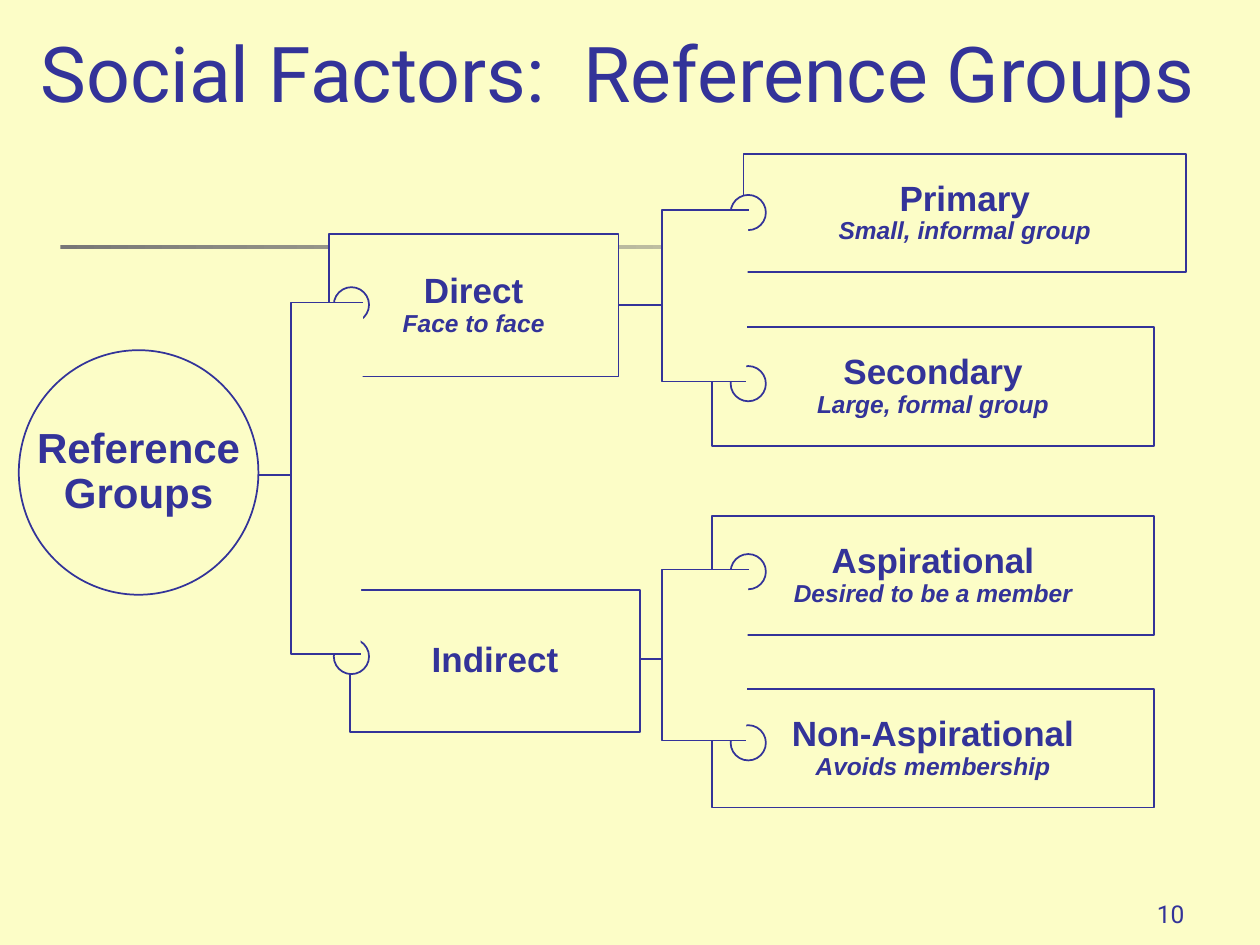
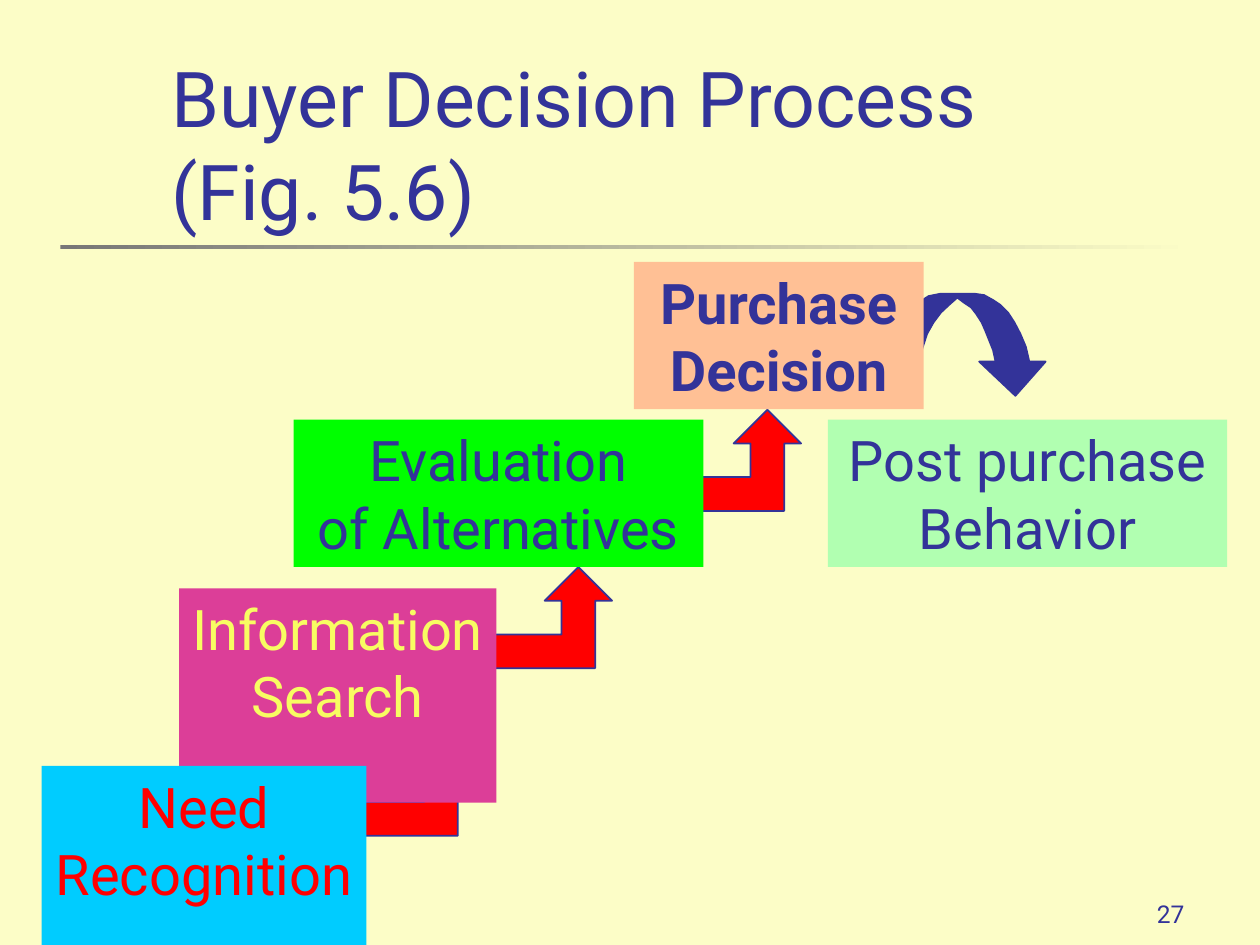
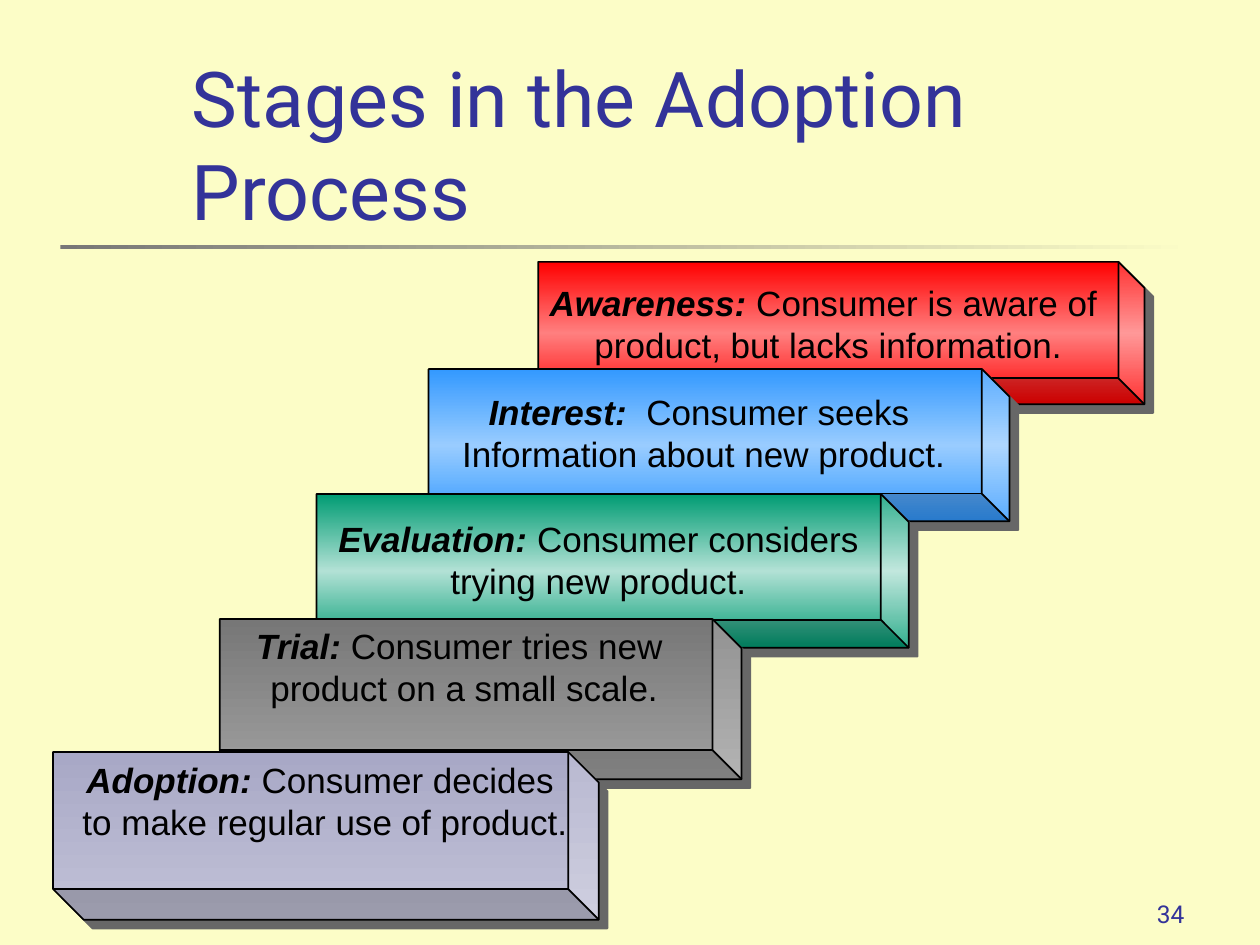
from dataclasses import dataclass

from lxml.etree import SubElement
from pptx import Presentation
from pptx.dml.color import RGBColor
from pptx.enum.shapes import MSO_CONNECTOR, MSO_SHAPE
from pptx.enum.text import MSO_ANCHOR, MSO_AUTO_SIZE, PP_ALIGN
from pptx.oxml import parse_xml
from pptx.oxml.ns import nsdecls, qn
from pptx.util import Cm, Pt


@dataclass(frozen=True)
class Theme:
    paper: str = "FCFDC7"
    ink: str = "333399"
    black: str = "000000"
    rule: str = "777777"
    shadow: str = "676767"
    arrow: str = "FF0000"
    heading_font: str = "Roboto"
    label_font: str = "Arial"
    title_size: int = 44
    step_size: int = 32
    root_size: int = 24
    label_size: int = 20
    small_size: int = 14
    line_width: int = 1


THEME = Theme()
BOLD = {"bold": True}
BOLD_ITALIC = {"bold": True, "italic": True}


# ---------- Shared helpers ----------

def cm_box(box):
    return [Cm(length) for length in box]


def set_formats(target, formats):
    for name, value in formats.items():
        setattr(target, name, value)


def write(frame, lines, size, font, color=THEME.ink, wrap=True,
          anchor=MSO_ANCHOR.TOP, **para_formats):
    """Each line is a list of (text, font formats) spans."""
    set_formats(frame, {"word_wrap": wrap, "vertical_anchor": anchor,
                        "auto_size": MSO_AUTO_SIZE.NONE})
    for index, line in enumerate(lines):
        para = frame.paragraphs[0] if index == 0 else frame.add_paragraph()
        set_formats(para, {"alignment": PP_ALIGN.CENTER, **para_formats})
        for text, formats in line:
            span = para.add_run()
            span.text = text
            set_formats(span.font, {"size": Pt(size), "name": font, **formats})
            span.font.color.rgb = RGBColor.from_string(color)


def paint(shape, fill, line=None):
    shape.shadow.inherit = False
    shape.fill.solid()
    shape.fill.fore_color.rgb = RGBColor.from_string(fill)
    if line is None:
        shape.line.fill.background()
    else:
        shape.line.width = Pt(THEME.line_width)
        shape.line.color.rgb = RGBColor.from_string(line)


def paint_gradient(shape, colors, angle):
    last = len(colors) - 1
    stops = "".join(
        f'<a:gs pos="{100000 * index // last}"><a:srgbClr val="{color}"/></a:gs>'
        for index, color in enumerate(colors))
    gradient = parse_xml(
        f'<a:gradFill {nsdecls("a")} rotWithShape="0"><a:gsLst>{stops}</a:gsLst>'
        f'<a:lin ang="{angle * 60000}" scaled="0"/></a:gradFill>')
    properties = shape.element.spPr
    properties.replace(properties.find(qn("a:solidFill")), gradient)


def add_box(page, kind, box, fill=THEME.paper, line=None):
    shape = page.shapes.add_shape(kind, *cm_box(box))
    paint(shape, fill, line)
    return shape


def add_outline(page, left, top, points, fill, close=True):
    corners = [(Cm(left + x), Cm(top + y)) for x, y in points]
    builder = page.shapes.build_freeform(*corners[0])
    builder.add_line_segments(corners[1:], close=close)
    shape = builder.convert_to_shape()
    paint(shape, fill, THEME.ink)
    return shape


def add_page(deck, title_lines, title_box, number, anchor=MSO_ANCHOR.BOTTOM):
    page = deck.slides.add_slide(deck.slide_layouts[5])
    # Title
    title = page.shapes.title
    set_formats(title, dict(zip(("left", "top", "width", "height"), cm_box(title_box))))
    write(title.text_frame, [[(title_lines[0], {})]], THEME.title_size,
          THEME.heading_font, anchor=anchor, alignment=PP_ALIGN.LEFT)
    para = title.text_frame.paragraphs[0]
    for line in title_lines[1:]:
        para.add_line_break()
        span = para.add_run()
        span.text = line
        set_formats(span.font, {"size": Pt(THEME.title_size), "name": THEME.heading_font})
        span.font.color.rgb = RGBColor.from_string(THEME.ink)
    # Fading rule below the title
    rule = add_box(page, MSO_SHAPE.RECTANGLE, (1.22, 4.94, 22.86, 0.09))
    paint_gradient(rule, (THEME.rule, THEME.paper), 0)
    # Page number
    corner = page.shapes.add_textbox(*cm_box((18.85, 17.58, 5.28, 1.27)))
    write(corner.text_frame, [[(number, {})]], THEME.small_size, THEME.heading_font,
          anchor=MSO_ANCHOR.BOTTOM, alignment=PP_ALIGN.RIGHT)
    return page


# ---------- Reference groups ----------

def add_group(page, kind, box, lines, size=THEME.label_size):
    shape = add_box(page, kind, box, line=THEME.ink)
    write(shape.text_frame, lines, size, THEME.label_font, wrap=False,
          anchor=MSO_ANCHOR.MIDDLE, line_spacing=0.9)


def add_stem(page, fork_box, height):
    left = fork_box[0]
    stem = page.shapes.add_connector(
        MSO_CONNECTOR.STRAIGHT, *cm_box((left + 0.02, height, left - 0.92, height)))
    stem.line.width = Pt(THEME.line_width)
    stem.line.color.rgb = RGBColor.from_string(THEME.ink)
    SubElement(stem.element.spPr, qn("a:effectLst"))


def add_fork(page, box, ring_offset):
    left, top, width, height = box
    for end in (top, top + height):
        add_box(page, MSO_SHAPE.OVAL, (left + ring_offset, end - 0.31, 0.71, 0.71),
                line=THEME.ink)
    bracket = [(width, 0), (0, 0), (0, height), (width - 0.05, height)]
    add_outline(page, left, top, bracket, THEME.paper, close=False)


def build_reference_groups(deck):
    page = add_page(deck, ["Social Factors:  Reference Groups"],
                    (0.69, 0.46, 24.08, 3.84), "10", MSO_ANCHOR.TOP)
    set_formats(page.shapes.title.text_frame, {
        "margin_left": Cm(0.13), "margin_right": Cm(0.13),
        "margin_top": Cm(0.05), "margin_bottom": Cm(0.05)})
    # Fork box, ring offset, stem height
    forks = [
        ((5.87, 6.10, 1.45, 7.09), 0.86, 9.58),
        ((13.34, 11.48, 1.75, 3.45), 1.39, 13.28),
        ((13.34, 4.24, 1.75, 3.45), 1.39, 6.15),
    ]
    leaf, branch = (8.92, 2.39), (5.84, 2.87)
    groups = [
        ("Non-Aspirational", "Avoids membership", (14.35, 13.89), leaf),
        ("Aspirational", "Desired to be a member", (14.35, 10.41), leaf),
        ("Secondary", "Large, formal group", (14.35, 6.60), leaf),
        ("Primary", "Small, informal group", (14.99, 3.10), leaf),
        ("Direct", "Face to face", (6.63, 4.72), branch),
        ("Indirect", None, (7.06, 11.89), branch),
    ]
    for box, _, height in forks:
        add_stem(page, box, height)
    for name, detail, place, size in groups:
        lines = [[(name, BOLD)]]
        if detail:
            lines.append([(detail, {**BOLD_ITALIC, "size": Pt(THEME.small_size)})])
        add_group(page, MSO_SHAPE.RECTANGLE, place + size, lines)
    add_group(page, MSO_SHAPE.OVAL, (0.38, 7.06, 4.83, 4.93),
              [[("Reference", BOLD)], [("Groups", BOLD)]], THEME.root_size)
    for box, ring_offset, _ in forks:
        add_fork(page, box, ring_offset)


# ---------- Buyer decision process ----------

def add_step(page, box, lines, fill, color=THEME.ink, formats=None):
    shape = add_box(page, MSO_SHAPE.RECTANGLE, box, fill)
    write(shape.text_frame, [[(line, formats or {})] for line in lines],
          THEME.step_size, THEME.heading_font, color)


def add_step_arrow(page, left, top, unit=0.68):
    corners = [(2.5, 0), (1.5, 1), (2, 1), (2, 2), (0, 2), (0, 3), (3, 3), (3, 1), (3.5, 1)]
    add_outline(page, left, top, [(x * unit, y * unit) for x, y in corners], THEME.arrow)


def add_curved_arrow(page, left, top):
    outer_arc = [
        (0, 2.06), (0.05, 1.65), (0.1, 1.24), (0.2, 0.91), (0.36, 0.61), (0.53, 0.36),
        (0.74, 0.18), (0.94, 0.05), (1.19, 0), (1.85, 0), (2.06, 0.03), (2.24, 0.13),
        (2.39, 0.23), (2.54, 0.38), (2.67, 0.58), (2.79, 0.81), (2.9, 1.07), (2.97, 1.37)]
    head = [(3.3, 1.37), (2.69, 2.06), (1.96, 1.37)]
    inner_arc = [
        (2.29, 1.37), (2.24, 1.14), (2.16, 0.94), (2.08, 0.74), (2.01, 0.58), (1.9, 0.41),
        (1.8, 0.28), (1.65, 0.18), (1.52, 0.08), (1.35, 0.23), (1.19, 0.38), (1.04, 0.58),
        (0.91, 0.81), (0.81, 1.12), (0.74, 1.4), (0.69, 1.73), (0.69, 2.06)]
    add_outline(page, left, top, outer_arc + head + inner_arc, THEME.ink)


def build_decision_process(deck):
    page = add_page(deck, ["Buyer Decision Process ", "(Fig. 5.6)"],
                    (3.2, 1.7, 21.64, 3.18), "27")
    # Arrows lie below the steps
    for left, top in ((7.19, 14.81), (9.96, 11.43), (13.77, 8.26)):
        add_step_arrow(page, left, top)
    add_curved_arrow(page, 17.78, 5.92)
    # Steps
    add_step(page, (16.69, 8.46, 8.05, 2.97), ["Post purchase", "Behavior"], "B1FFB1")
    add_step(page, (12.78, 5.28, 5.84, 2.97), ["Purchase", "Decision"], "FFC095",
             formats=BOLD)
    add_step(page, (3.61, 11.86, 6.4, 4.32), ["Information", "Search"], "DC3E98", "F8FC62")
    add_step(page, (0.84, 15.44, 6.55, 4.32), ["Need Recognition"], "00CCFF", "FF0000")
    add_step(page, (5.92, 8.46, 8.26, 2.97), ["Evaluation", "of Alternatives"], "00FF00")


# ---------- Adoption stages ----------

def add_block(page, box, colors):
    """Cube turned by a quarter so that it fills the given box."""
    left, top, width, height = box
    shift = (width - height) / 2
    cube = add_box(page, MSO_SHAPE.CUBE, (left + shift, top - shift, height, width),
                   line=THEME.black)
    cube.rotation = 90
    cube.adjustments[0] = 0.182
    paint_gradient(cube, colors, 90)
    effects = cube.element.spPr.find(qn("a:effectLst"))
    effects.append(parse_xml(
        f'<a:outerShdw {nsdecls("a")} blurRad="0" dist="{Pt(7.1)}" dir="2700000" '
        f'algn="ctr" rotWithShape="0"><a:srgbClr val="{THEME.shadow}"/></a:outerShdw>'))


def add_stage(page, block, colors, label, anchor, name, first, second):
    add_block(page, block, colors)
    caption = page.shapes.add_textbox(*cm_box(label))
    lines = [[(name, BOLD_ITALIC), (first, {})], [(second, {})]]
    write(caption.text_frame, lines, THEME.label_size, THEME.label_font, THEME.black,
          wrap=False, anchor=anchor)


def build_adoption_stages(deck):
    page = add_page(deck, ["Stages in the Adoption Process"],
                    (3.61, 1.7, 21.23, 3.18), "34")
    middle, top = MSO_ANCHOR.MIDDLE, MSO_ANCHOR.TOP
    stages = [
        ((10.85, 5.28, 12.22, 2.87), ("FF0000", "FF7F7F", "FF0000"),
         (10.97, 5.54, 11.46, 1.96), middle,
         "Awareness: ", "Consumer is aware of ", "product, but lacks information."),
        ((8.64, 7.44, 11.71, 3.07), ("3399FF", "99CCFF", "3399FF"),
         (8.74, 7.67, 10.9, 2.11), middle,
         "Interest:  ", "Consumer seeks ", "Information about new product."),
        ((6.38, 9.96, 11.94, 3.1), ("009C73", "B2E1D5", "009C73"),
         (6.5, 10.21, 11.13, 2.13), middle,
         "Evaluation: ", "Consumer considers", "trying new product."),
        ((4.43, 12.48, 10.52, 3.23), ("777777", "A0A0A0"),
         (4.04, 12.47, 10.64, 2.79), top,
         "Trial: ", "Consumer tries new ", "product on a small scale."),
        ((1.07, 15.16, 11, 3.38), ("A8A8C6", "C2C2D7"),
         (1.07, 15.16, 10.97, 2.79), top,
         "Adoption: ", "Consumer decides ", "to make regular use of product."),
    ]
    for stage in stages:
        add_stage(page, *stage)


def main():
    deck = Presentation()
    set_formats(deck, {"slide_width": Cm(25.4), "slide_height": Cm(19.05)})
    backdrop = deck.slide_master.background.fill
    backdrop.solid()
    backdrop.fore_color.rgb = RGBColor.from_string(THEME.paper)
    build_reference_groups(deck)
    build_decision_process(deck)
    build_adoption_stages(deck)
    deck.save("out.pptx")


if __name__ == "__main__":
    main()
